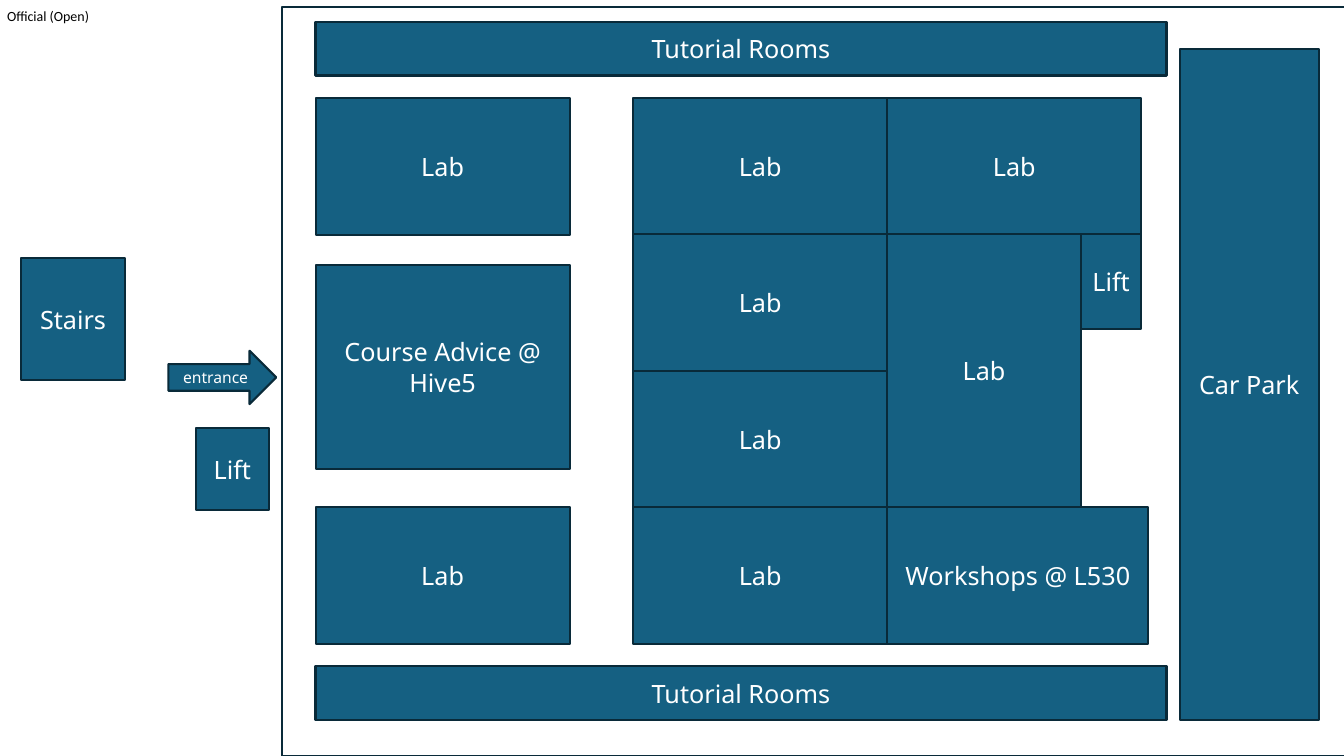
from dataclasses import dataclass

from pptx import Presentation
from pptx import util as u
from pptx.dml import color
from pptx.enum import shapes, text

PX = u.Inches(1) // 100


@dataclass(frozen=True)
class Theme:
    room: str = "156082"
    outline: str = "092A39"
    room_text: str = "FFFFFF"
    marking_text: str = "000000"
    room_font: str = "Noto Sans"
    marking_font: str = "Calibri"
    room_size: float = 18
    entrance_size: float = 11.2
    marking_size: float = 10
    line_width: float = 1.5


THEME = Theme()


def px(*lengths):
    return [u.Emu(n * PX) for n in lengths]


def rgb(value):
    return color.RGBColor.from_string(value)


def write(tf, words, font=THEME.room_font, size=THEME.room_size,
          fill=THEME.room_text, align=text.PP_ALIGN.CENTER,
          anchor=text.MSO_ANCHOR.MIDDLE, wrap=True):
    tf.word_wrap = wrap
    tf.vertical_anchor = anchor
    p = tf.paragraphs[0]
    p.alignment = align
    r = p.add_run()
    r.text = words
    r.font.name = font
    r.font.size = u.Pt(size)
    r.font.color.rgb = rgb(fill)


def add_outline(slide, box, kind=shapes.MSO_SHAPE.RECTANGLE):
    sp = slide.shapes.add_shape(kind, *px(*box))
    sp.shadow.inherit = False
    sp.fill.background()
    sp.line.color.rgb = rgb(THEME.outline)
    sp.line.width = u.Pt(THEME.line_width)
    return sp


def add_room(slide, words, box, kind=shapes.MSO_SHAPE.RECTANGLE, **fmt):
    sp = add_outline(slide, box, kind)
    sp.fill.solid()
    sp.fill.fore_color.rgb = rgb(THEME.room)
    write(sp.text_frame, words, **fmt)


def add_marking(slide, words, box):
    tf = slide.shapes.add_textbox(*px(*box)).text_frame
    tf.margin_left = tf.margin_top = tf.margin_right = tf.margin_bottom = 0
    write(tf, words, font=THEME.marking_font, size=THEME.marking_size,
          fill=THEME.marking_text, align=text.PP_ALIGN.LEFT,
          anchor=text.MSO_ANCHOR.TOP, wrap=False)


def main():
    prs = Presentation()
    prs.slide_width, prs.slide_height = px(1333, 750)
    slide = prs.slides.add_slide(prs.slide_layouts[6])

    west, middle, east = 313, 628, 880
    lab_w, lab_h = 252, 136
    top, bottom = 97, 503
    rows = [round(top + i * (bottom - top) / 3) for i in range(4)]

    add_marking(slide, "Official (Open)", (7, 7, 85, 17))
    add_outline(slide, (280, 7, 1054, 743))

    add_room(slide, "Lift", (194, 425, 73, 81))
    add_room(slide, "Stairs", (21, 256, 103, 121))
    add_room(slide, "Course Advice @ Hive5", (west, 263, lab_w, 202))
    for y in (22, 661):
        add_room(slide, "Tutorial Rooms", (west, y, 844, 53))

    labs = [(west, top), (west, bottom), (east, top)]
    labs += [(middle, y) for y in rows]
    for x, y in labs:
        add_room(slide, "Lab", (x, y, lab_w, lab_h))

    add_room(slide, "Car Park", (1170, 49, 138, 665))
    add_room(slide, "Workshops @ L530", (east, bottom, 259, lab_h))
    add_room(slide, "Lab", (east, rows[1], 192, bottom - rows[1]))
    add_room(slide, "Lift", (east + 192, rows[1], 60, 94))
    add_room(slide, "entrance", (167, 348, 107, 53),
             kind=shapes.MSO_SHAPE.RIGHT_ARROW, size=THEME.entrance_size)

    prs.save("out.pptx")


if __name__ == "__main__":
    main()
